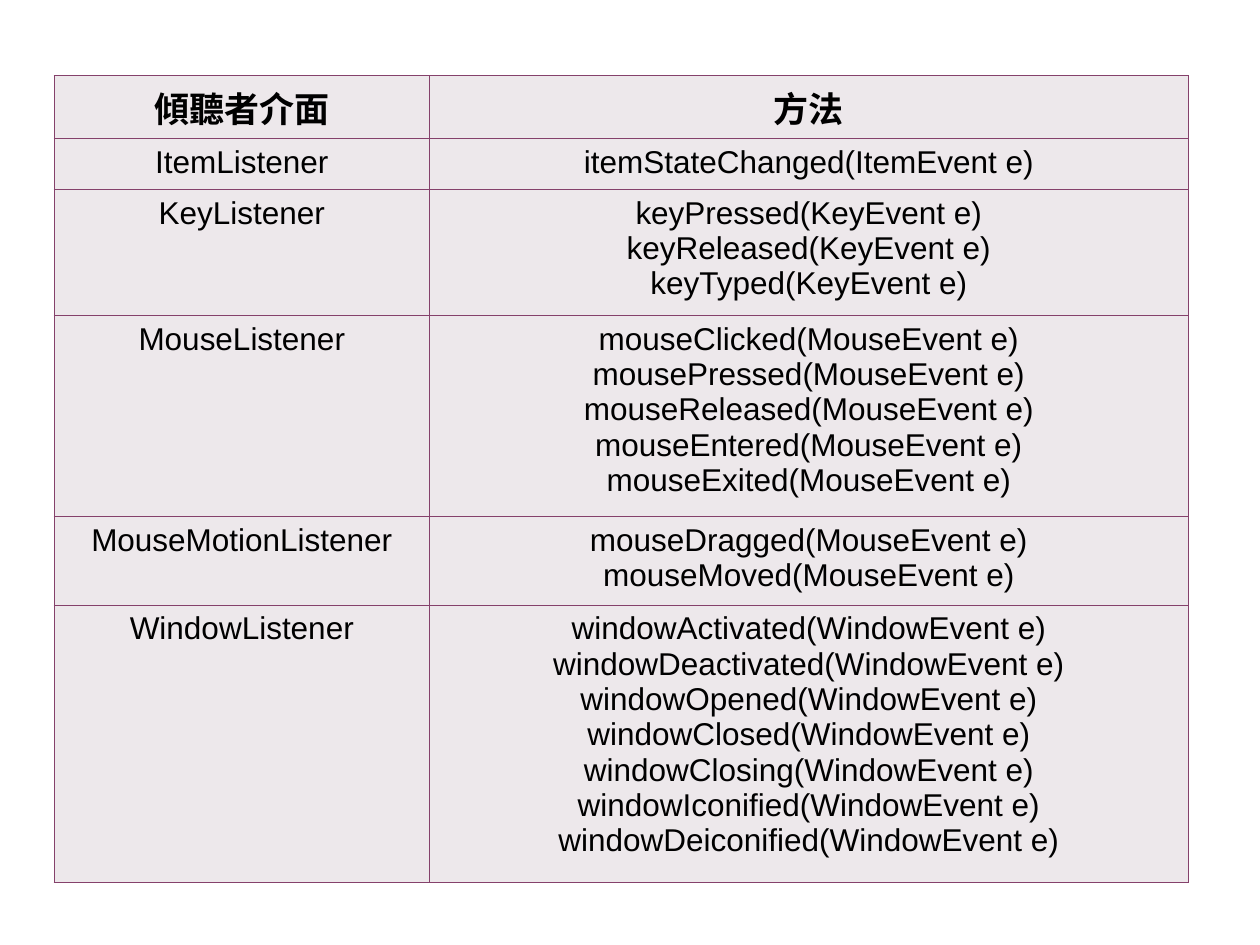
from lxml import etree
from pptx import Presentation
from pptx import util as u
from pptx.dml.color import RGBColor
from pptx.enum import text
from pptx.oxml import ns

BLACK = RGBColor(0x00, 0x00, 0x00)
CELL = RGBColor(0xED, 0xE8, 0xEB)
BORDER = RGBColor(0x85, 0x41, 0x6B)

HEADER = {"name": "Arial", "size": u.Pt(20), "bold": True}
BODY = {"name": "Arial", "size": u.Pt(18), "bold": False}

# Listener, event class, method names
listeners = [
    ("ItemListener", "ItemEvent", ["itemStateChanged"]),
    ("KeyListener", "KeyEvent", ["keyPressed", "keyReleased", "keyTyped"]),
    ("MouseListener", "MouseEvent",
     ["mouseClicked", "mousePressed", "mouseReleased", "mouseEntered", "mouseExited"]),
    ("MouseMotionListener", "MouseEvent", ["mouseDragged", "mouseMoved"]),
    ("WindowListener", "WindowEvent",
     ["windowActivated", "windowDeactivated", "windowOpened", "windowClosed",
      "windowClosing", "windowIconified", "windowDeiconified"]),
]
rows = [("傾聽者介面", ["方法"])]
for listener, event, methods in listeners:
    rows.append((listener, [f"{m}({event} e)" for m in methods]))

col_widths = [7.57, 15.29]
row_heights = [1.12, 1.02, 2.54, 4.06, 1.78, 5.59]


def add_borders(cell):
    tcPr = cell._tc.get_or_add_tcPr()
    for side in ("a:lnL", "a:lnR", "a:lnT", "a:lnB"):
        ln = etree.SubElement(tcPr, ns.qn(side), w=str(u.Pt(0.45)))
        fill = etree.SubElement(ln, ns.qn("a:solidFill"))
        etree.SubElement(fill, ns.qn("a:srgbClr"), val=str(BORDER))


prs = Presentation()
prs.slide_width, prs.slide_height = u.Cm(25.4), u.Cm(19.05)
s = prs.slides.add_slide(prs.slide_layouts[6])

# Table grid
sp = s.shapes.add_table(len(rows), len(col_widths), u.Cm(1.09), u.Cm(1.52),
                        u.Cm(sum(col_widths)), u.Cm(sum(row_heights)))
tbl = sp.table
for col, width in zip(tbl.columns, col_widths):
    col.width = u.Cm(width)
for row, height in zip(tbl.rows, row_heights):
    row.height = u.Cm(height)

# Cell contents
for i, (listener, methods) in enumerate(rows):
    for j, lines in enumerate(([listener], methods)):
        cell = tbl.cell(i, j)
        add_borders(cell)
        cell.fill.solid()
        cell.fill.fore_color.rgb = CELL
        tf = cell.text_frame
        for k, line in enumerate(lines):
            p = tf.add_paragraph() if k else tf.paragraphs[0]
            p.alignment = text.PP_ALIGN.CENTER
            r = p.add_run()
            r.text = line
            for key, value in (BODY if i else HEADER).items():
                setattr(r.font, key, value)
            r.font.color.rgb = BLACK

prs.save("out.pptx")
